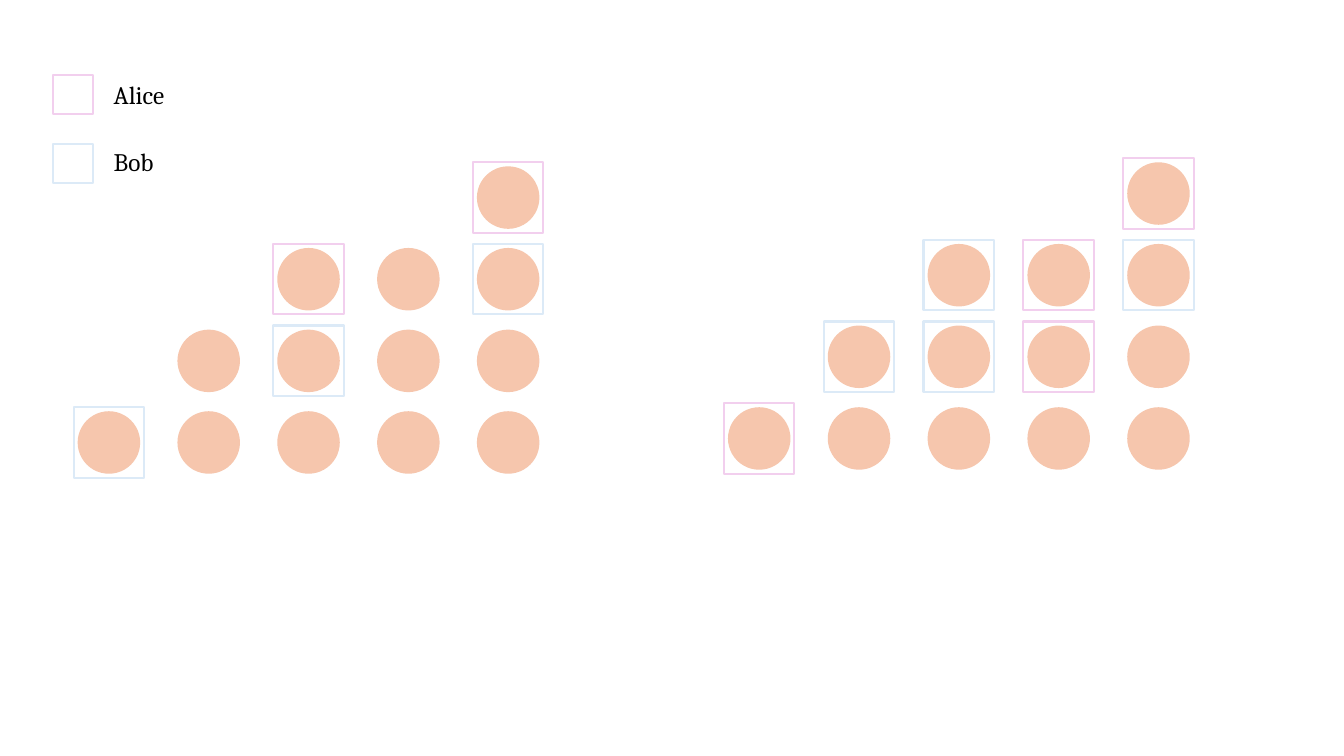
import dataclasses

import pptx
import pptx.dml.color
import pptx.enum.shapes
import pptx.enum.text
import pptx.util

Inches = pptx.util.Inches
MSO_SHAPE = pptx.enum.shapes.MSO_SHAPE


@dataclasses.dataclass(frozen=True)
class Theme:
    counter: str = "F6C6AD"
    alice: str = "F2CFEE"
    bob: str = "DCEAF7"
    text: str = "000000"
    font: str = "Cambria"
    label_size: int = 18
    outline: float = 1.5


THEME = Theme()
COLUMN_HEIGHTS = (1, 2, 3, 3, 4)
COLUMN_PITCH, ROW_PITCH = 0.99, 0.81
COUNTER_SIZE, CHOICE_SIZE, KEY_SIZE = 0.62, 0.7, 0.39

# Choices are (column, row), with row 0 at the bottom.
LEFT_CHOICES = {
    THEME.alice: [(2, 2), (4, 3)],
    THEME.bob: [(0, 0), (2, 1), (4, 2)],
}
RIGHT_CHOICES = {
    THEME.alice: [(0, 0), (3, 1), (3, 2), (4, 3)],
    THEME.bob: [(1, 1), (2, 1), (2, 2), (4, 2)],
}


def rgb(color):
    return pptx.dml.color.RGBColor.from_string(color)


def add_counter(slide, left, top):
    counter = slide.shapes.add_shape(
        MSO_SHAPE.OVAL, Inches(left), Inches(top),
        Inches(COUNTER_SIZE), Inches(COUNTER_SIZE))
    counter.shadow.inherit = False
    counter.fill.solid()
    counter.fill.fore_color.rgb = rgb(THEME.counter)
    counter.line.fill.background()


def add_frame(slide, left, top, size, color):
    frame = slide.shapes.add_shape(
        MSO_SHAPE.RECTANGLE, Inches(left), Inches(top), Inches(size), Inches(size))
    frame.shadow.inherit = False
    frame.fill.background()
    frame.line.color.rgb = rgb(color)
    frame.line.width = pptx.util.Pt(THEME.outline)


def add_label(slide, name, left, top, width):
    label = slide.shapes.add_textbox(
        Inches(left), Inches(top), Inches(width), Inches(0.4))
    label.text_frame.word_wrap = False
    label.text_frame.auto_size = pptx.enum.text.MSO_AUTO_SIZE.SHAPE_TO_FIT_TEXT
    run = label.text_frame.paragraphs[0].add_run()
    run.text = name
    run.font.name = THEME.font
    run.font.size = pptx.util.Pt(THEME.label_size)
    run.font.color.rgb = rgb(THEME.text)


def add_staircase(slide, left, bottom_row, choices):
    """Stack the counters in columns and frame each player's choices."""
    def position(column, row):
        return left + column * COLUMN_PITCH, bottom_row - row * ROW_PITCH

    for column, height in enumerate(COLUMN_HEIGHTS):
        for row in range(height):
            add_counter(slide, *position(column, row))

    margin = (CHOICE_SIZE - COUNTER_SIZE) / 2
    for color, cells in choices.items():
        for cell in cells:
            x, y = position(*cell)
            add_frame(slide, x - margin, y - margin, CHOICE_SIZE, color)


def add_legend(slide):
    players = (
        ("Alice", THEME.alice, 0.74, 0.74, 0.73),
        ("Bob", THEME.bob, 1.43, 1.4, 0.63),
    )
    for name, color, key_top, label_top, label_width in players:
        add_frame(slide, 0.53, key_top, KEY_SIZE, color)
        add_label(slide, name, 1.03, label_top, label_width)


def main():
    deck = pptx.Presentation()
    deck.slide_width, deck.slide_height = Inches(13.33), Inches(7.5)
    slide = deck.slides.add_slide(deck.slide_layouts[6])
    add_staircase(slide, 0.77, 4.08, LEFT_CHOICES)
    add_legend(slide)
    add_staircase(slide, 7.22, 4.04, RIGHT_CHOICES)
    deck.save("out.pptx")


if __name__ == "__main__":
    main()
